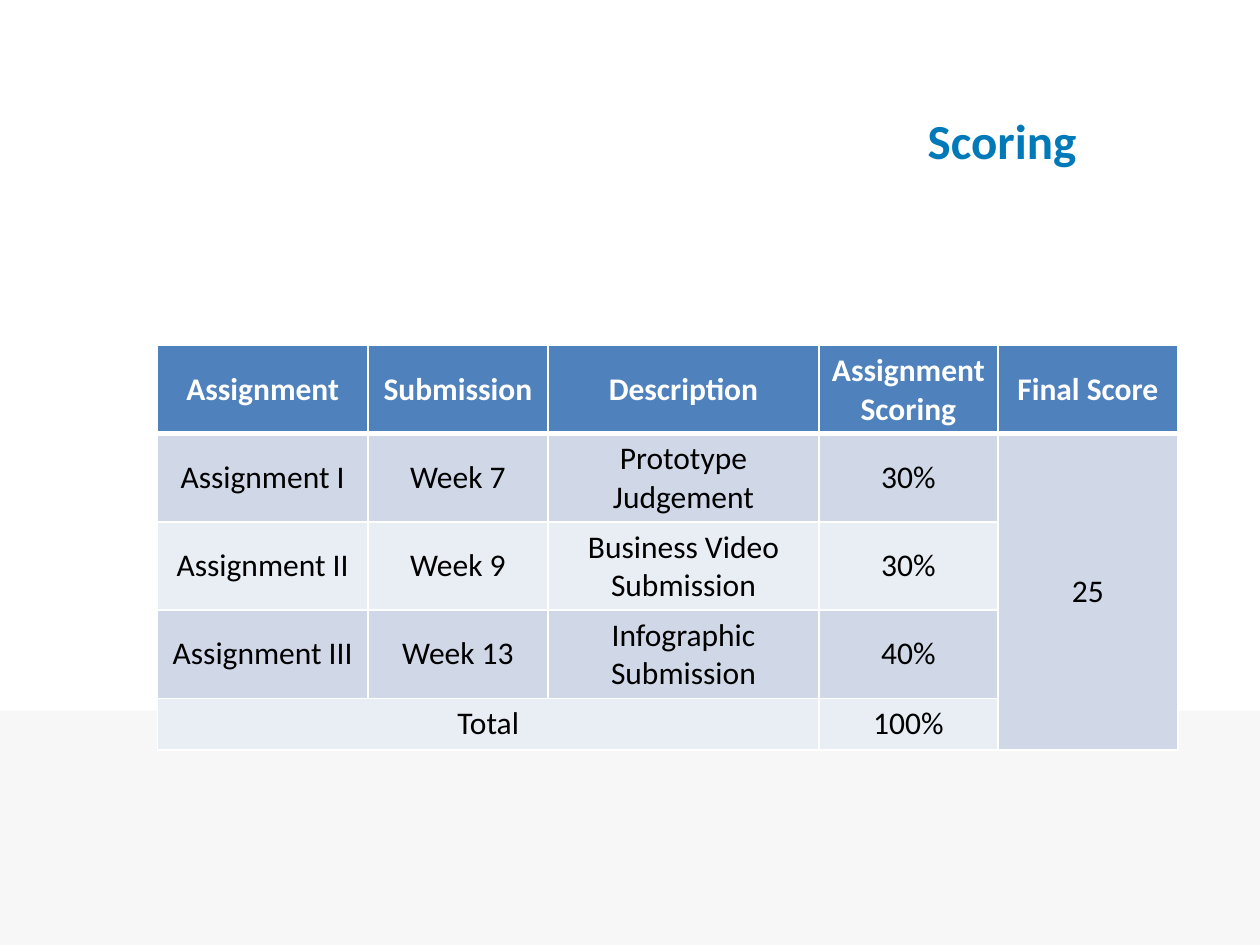
from lxml.etree import SubElement
from pptx import Presentation
from pptx.dml.color import RGBColor
from pptx.enum.shapes import MSO_SHAPE
from pptx.enum.text import MSO_ANCHOR, MSO_AUTO_SIZE, PP_ALIGN
from pptx.oxml.ns import qn
from pptx.util import Inches, Pt

COLORS = {
    "band": "F7F7F7",
    "title": "0079B8",
    "header": "4F81BD",
    "odd": "D0D8E8",
    "even": "E9EDF4",
    "white": "FFFFFF",
    "black": "000000",
}
FONT = "Calibri"
COLUMN_WIDTHS = [1.67, 1.43, 2.15, 1.42, 1.43]
ROW_HEIGHTS = [0.7, 0.7, 0.7, 0.7, 0.41]
ROWS = [
    ["Assignment", "Submission", "Description", "Assignment\nScoring", "Final Score"],
    ["Assignment I", "Week 7", "Prototype Judgement", "30%", "25"],
    ["Assignment II", "Week 9", "Business Video Submission", "30%", ""],
    ["Assignment III", "Week 13", "Infographic Submission", "40%", ""],
    ["Total", "", "", "100%", ""],
]


def color(name):
    return RGBColor.from_string(COLORS[name])


def add_span(para, text, size, color_name, bold):
    span = para.add_run()
    span.text = text
    span.font.name = FONT
    span.font.size = Pt(size)
    span.font.bold = bold
    span.font.color.rgb = color(color_name)


def add_footer_band(page, left, top, width, height):
    band = page.shapes.add_shape(MSO_SHAPE.RECTANGLE, left, top, width, height)
    band.shadow.inherit = False
    band.fill.solid()
    band.fill.fore_color.rgb = color("band")
    band.line.fill.background()


def add_title(page, left, top, width, height):
    box = page.shapes.add_textbox(left, top, width, height)
    frame = box.text_frame
    frame.word_wrap = False
    frame.auto_size = MSO_AUTO_SIZE.SHAPE_TO_FIT_TEXT
    para = frame.paragraphs[0]
    para.alignment = PP_ALIGN.RIGHT
    add_span(para, "Scoring", 28, "title", True)


def set_borders(cell, top, bottom):
    """Draw white borders; top and bottom are widths in points."""
    properties = cell._tc.get_or_add_tcPr()
    for side, points in (("L", 1), ("R", 1), ("T", top), ("B", bottom)):
        line = SubElement(properties, qn(f"a:ln{side}"), w=str(Pt(points)))
        fill = SubElement(line, qn("a:solidFill"))
        SubElement(fill, qn("a:srgbClr"), val=COLORS["white"])


def fill_cell(cell, text, is_header, fill_name):
    cell.fill.solid()
    cell.fill.fore_color.rgb = color(fill_name)
    cell.vertical_anchor = MSO_ANCHOR.MIDDLE
    frame = cell.text_frame
    for index, line in enumerate(text.split("\n")):
        para = frame.add_paragraph() if index else frame.paragraphs[0]
        para.alignment = PP_ALIGN.CENTER
        if line:
            add_span(para, line, 18, "white" if is_header else "black", is_header)


def add_score_table(page, left, top, width, height):
    shape = page.shapes.add_table(len(ROWS), len(COLUMN_WIDTHS), left, top, width, height)
    table = shape.table
    table.horz_banding = False
    for column, column_width in zip(table.columns, COLUMN_WIDTHS):
        column.width = Inches(column_width)
    for row, row_height in zip(table.rows, ROW_HEIGHTS):
        row.height = Inches(row_height)

    last = len(COLUMN_WIDTHS) - 1
    for r, texts in enumerate(ROWS):
        for c, text in enumerate(texts):
            cell = table.cell(r, c)
            set_borders(cell, 3 if r == 1 else 1, 3 if r == 0 else 1)
            if r == 0:
                fill_name = "header"
            else:
                fill_name = "odd" if r % 2 or c == last else "even"
            fill_cell(cell, text, r == 0, fill_name)
    table.cell(1, last).merge(table.cell(4, last))
    table.cell(4, 0).merge(table.cell(4, 2))


def main():
    deck = Presentation()
    deck.slide_width = Inches(10)
    deck.slide_height = Inches(7.5)
    page = deck.slides.add_slide(deck.slide_layouts[6])
    add_footer_band(page, Inches(0), Inches(5.64), Inches(10), Inches(1.86))
    add_title(page, Inches(7.25), Inches(0.83), Inches(1.39), Inches(0.57))
    add_score_table(page, Inches(1.25), Inches(2.74), Inches(8.1), Inches(3.21))
    deck.save("out.pptx")


if __name__ == "__main__":
    main()
